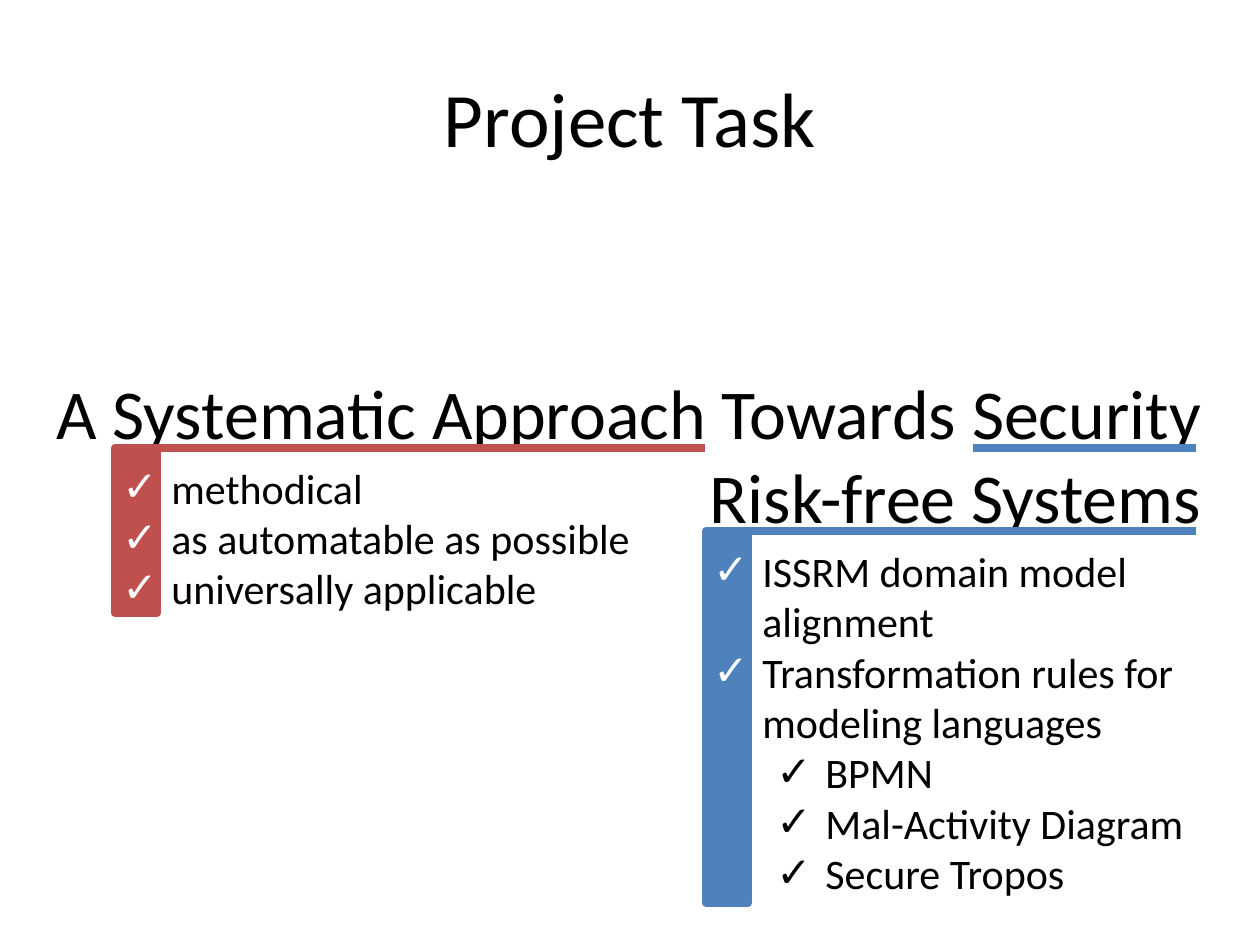
from lxml import etree
from pptx import Presentation, util as u
from pptx.dml.color import RGBColor
from pptx.enum import shapes, text
from pptx.oxml.ns import qn

BLACK = RGBColor(0, 0, 0)
WHITE = RGBColor(255, 255, 255)
RED = RGBColor(0xC0, 0x50, 0x4D)
BLUE = RGBColor(0x4F, 0x81, 0xBD)


def px(n):
    return u.Emu(round(n * 914400 / 126))


class Deck:
    """Draw styled elements on the current slide, with lengths in px."""
    font = "Calibri"
    weight = u.Pt(4.5)
    indent = 49
    step = 63

    def __init__(self, wide, high):
        self.show = Presentation()
        self.show.slide_width, self.show.slide_height = px(wide), px(high)
        self.slide = self.show.slides.add_slide(self.show.slide_layouts[6])

    def style(self, para, size):
        for run in para.runs:
            run.font.name = self.font
            run.font.size = u.Pt(size)
            run.font.color.rgb = BLACK

    def block(self, box, color):
        shape = self.slide.shapes.add_shape(
            shapes.MSO_SHAPE.RECTANGLE, *map(px, box))
        shape.shadow.inherit = False
        shape.fill.solid()
        shape.fill.fore_color.rgb = color
        return shape

    def panel(self, box, words, size, inset, alpha):
        shape = self.block(box, WHITE)
        shape.line.fill.background()
        tint = shape.fill._xPr.find(".//" + qn("a:srgbClr"))
        etree.SubElement(tint, qn("a:alpha"), val=str(alpha * 1000))
        frame = shape.text_frame
        frame.word_wrap = True
        frame.vertical_anchor = text.MSO_ANCHOR.TOP
        frame.margin_right = px(inset)
        frame.text = words
        frame.paragraphs[0].alignment = text.PP_ALIGN.RIGHT
        self.style(frame.paragraphs[0], size)

    def bar(self, box, color):
        shape = self.block(box, color)
        shape.line.color.rgb = color
        shape.line.width = self.weight

    def rule(self, left, right, y, color):
        line = self.slide.shapes.add_connector(
            shapes.MSO_CONNECTOR.STRAIGHT, px(left), px(y), px(right), px(y))
        line.line.color.rgb = color
        line.line.width = self.weight
        etree.SubElement(line._element.spPr, qn("a:effectLst"))

    def title(self, box, words, size):
        frame = self.slide.shapes.add_textbox(*map(px, box)).text_frame
        frame.word_wrap = True
        frame.vertical_anchor = text.MSO_ANCHOR.MIDDLE
        frame.text = words
        frame.paragraphs[0].alignment = text.PP_ALIGN.CENTER
        self.style(frame.paragraphs[0], size)

    def checks(self, box, items, size, wrap):
        frame = self.slide.shapes.add_textbox(*map(px, box)).text_frame
        frame.word_wrap = wrap
        frame.text = "\n".join(words for words, level in items)
        for para, (words, level) in zip(frame.paragraphs, items):
            para.level = level
            self.style(para, size)
            self.bullet(para, level, BLACK if level else WHITE)

    def bullet(self, para, level, color):
        props = para._p.get_or_add_pPr()
        props.set("marL", str(px(self.indent + level * self.step)))
        props.set("indent", str(px(-self.indent)))
        tint = etree.SubElement(props, qn("a:buClr"))
        etree.SubElement(tint, qn("a:srgbClr"), val=str(color))
        etree.SubElement(props, qn("a:buFont"), typeface=self.font)
        etree.SubElement(props, qn("a:buChar"), char="✓")


def main():
    deck = Deck(1260, 945)
    deck.panel((0, 363, 1260, 183),
               "A Systematic Approach Towards Security Risk-free Systems",
               40, 59, 60)
    deck.title((63, 38, 1134, 157), "Project Task", 44)

    deck.rule(115, 705, 448, RED)
    deck.bar((115, 448, 42, 165), RED)
    deck.checks((110, 456, 538, 165), [
        ("methodical", 0),
        ("as automatable as possible", 0),
        ("universally applicable", 0),
    ], 24, False)

    deck.bar((706, 531, 42, 372), BLUE)
    for left, y in ((973, 448), (708, 531)):
        deck.rule(left, 1196, y, BLUE)
    deck.checks((701, 539, 511, 369), [
        ("ISSRM domain model alignment", 0),
        ("Transformation rules for modeling languages", 0),
        ("BPMN", 1),
        ("Mal-Activity Diagram", 1),
        ("Secure Tropos", 1),
    ], 24, True)
    deck.show.save("out.pptx")


if __name__ == "__main__":
    main()
